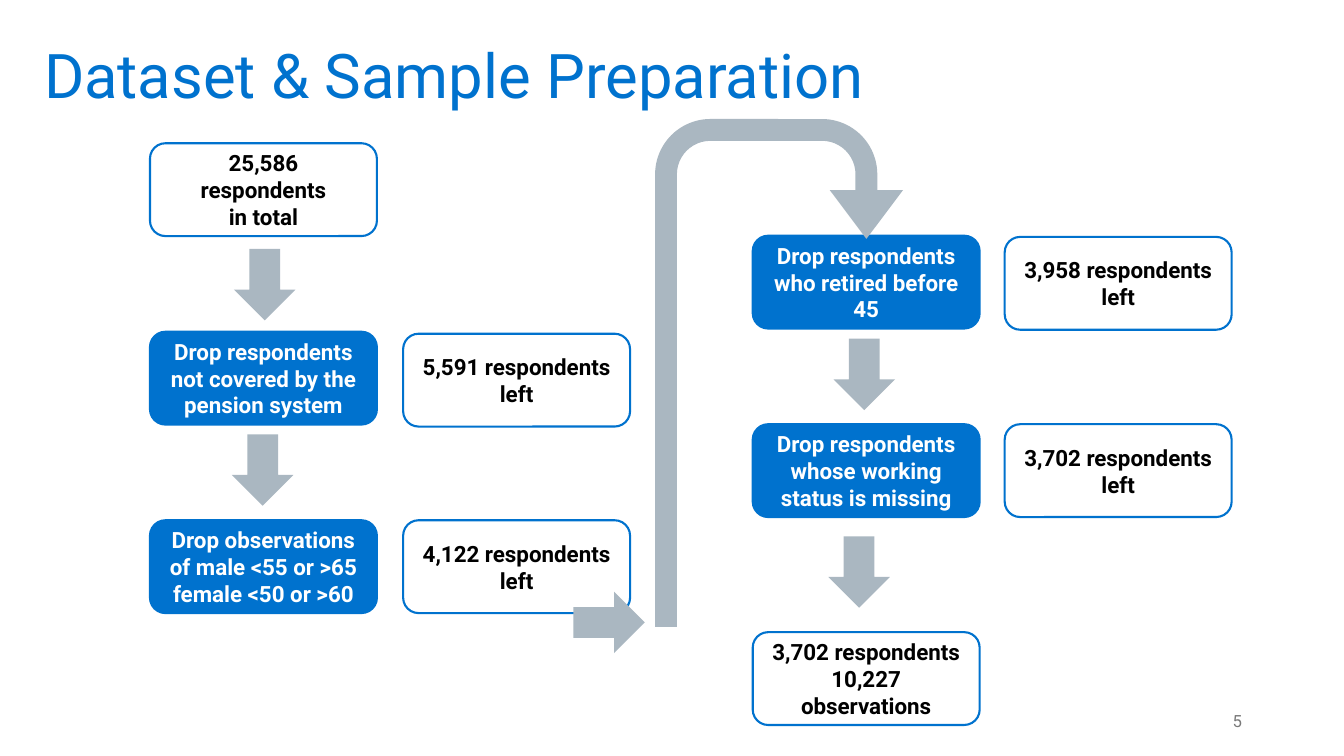
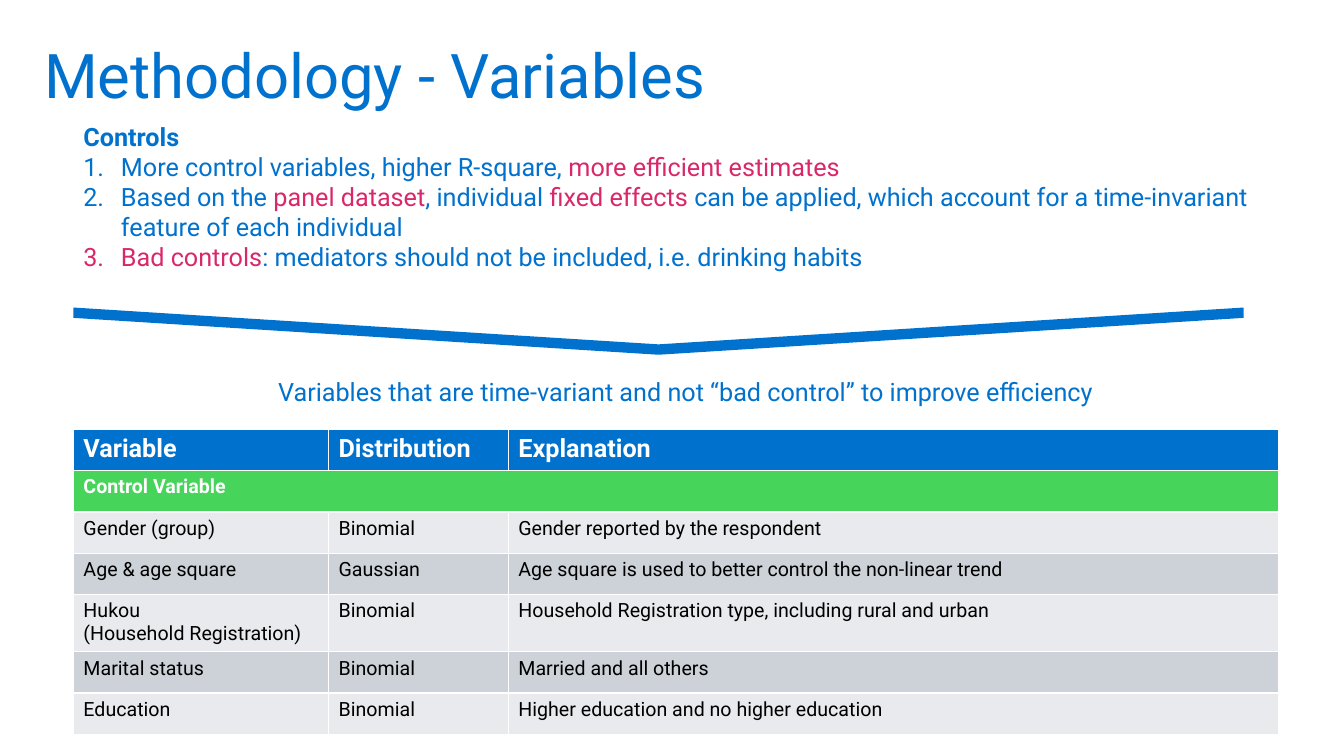
from lxml.etree import SubElement
from pptx import Presentation
from pptx.dml.color import RGBColor
from pptx.enum.shapes import MSO_SHAPE
from pptx.enum.text import MSO_ANCHOR, PP_ALIGN
from pptx.oxml.ns import qn
from pptx.util import Cm, Pt

# Shared look
HUE = {
    "blue": "0072CE", "pink": "D9286A", "green": "47D45A", "steel": "AAB7C1",
    "pale": "E8EAED", "mid": "CCD2D8", "grey": "797979",
    "white": "FFFFFF", "black": "000000",
}
FACE = "Roboto"
WIDE, HIGH = 33.87, 19.05
TITLE = (0.86, 0.15, 29.21, 3.68)
FOOT = (23.93, 17.65, 7.62, 1.02)

# Flow chart: box size, column lefts, then (column, top, kind, lines)
BOX = (5.72, 2.34)
COLS = (3.78, 10.16, 18.97, 25.32)
STEPS = [
    (0, 3.61, "count", ["25,586 respondents", "in total"]),
    (0, 8.36, "drop", ["Drop respondents not covered by the pension system"]),
    (1, 8.41, "count", ["5,591 respondents left"]),
    (0, 13.11, "drop", ["Drop observations of male <55 or >65", "female <50 or >60"]),
    (1, 13.11, "count", ["4,122 respondents left"]),
    (2, 5.94, "drop", ["Drop respondents who retired before 45"]),
    (3, 5.97, "count", ["3,958 respondents left"]),
    (2, 10.69, "drop", ["Drop respondents whose working status is missing"]),
    (3, 10.69, "count", ["3,702 respondents left"]),
    (2, 15.93, "count", ["3,702 respondents 10,227 observations"]),
]
KINDS = {"drop": ("blue", "white"), "count": ("white", "black")}
ARROW = (1.8, 1.55)
ARROWS = [  # left, top, turn
    (5.77, 6.4, 90), (5.72, 11.07, 90), (20.88, 8.66, 90),
    (20.75, 13.64, 90), (14.45, 14.91, 0),
]
UTURN = (16.51, 3.0, 6.25, 12.8)
BEND = (0.088, 0.148, 0.197, 0.223, 0.236)

# Controls: runs are (text, colour)
POINTS = [
    [("More control variables, higher R-square, ", "blue"),
     ("more efficient estimates", "pink")],
    [("Based on the ", "blue"), ("panel dataset", "pink"),
     (", individual ", "blue"), ("fixed effects ", "pink"),
     ("can be applied, which account for a time-invariant feature "
      "of each individual", "blue")],
    [("Bad controls", "pink"),
     (": mediators should not be included, i.e. drinking habits", "blue")],
]
CLAIM = "Variables that are time-variant and not “bad control” to improve efficiency"

# Variable table
HEAD = ("Variable", "Distribution", "Explanation")
GROUP = "Control Variable"
ROWS = [
    ("Gender (group)", "Binomial", "Gender reported by the respondent"),
    ("Age & age square", "Gaussian",
     "Age square is used to better control the non-linear trend"),
    ("Hukou\n(Household Registration)", "Binomial",
     "Household Registration type, including rural and urban"),
    ("Marital status", "Binomial", "Married and all others"),
    ("Education", "Binomial", "Higher education and no higher education"),
]
SPANS = (6.43, 4.53, 19.42)
ROW, TALL = 1.04, 1.42


def rgb(name):
    return RGBColor.from_string(HUE[name])


def write(frame, paras, size, hue, bold=False, align=None):
    """Fill a frame; a paragraph is a string or a list of (text, colour)."""
    for i, para in enumerate(paras):
        line = frame.paragraphs[0] if i == 0 else frame.add_paragraph()
        line.alignment = align
        runs = [(para, hue)] if isinstance(para, str) else para
        for text, tint in runs:
            run = line.add_run()
            run.text = text
            for key, val in {"name": FACE, "size": Pt(size), "bold": bold}.items():
                setattr(run.font, key, val)
            run.font.color.rgb = rgb(tint)


def label(slide, place, paras, size, hue="blue", anchor=MSO_ANCHOR.TOP, align=None):
    frame = slide.shapes.add_textbox(*map(Cm, place)).text_frame
    frame.word_wrap = True
    frame.vertical_anchor = anchor
    write(frame, paras, size, hue, align=align)
    return frame


def block(slide, form, place, fill, edge=None, turn=0, bends=()):
    shape = slide.shapes.add_shape(form, *map(Cm, place))
    shape.shadow.inherit = False
    shape.fill.solid()
    shape.fill.fore_color.rgb = rgb(fill)
    shape.rotation = turn
    for i, bend in enumerate(bends):
        shape.adjustments[i] = bend
    if edge:
        shape.line.color.rgb = rgb(edge)
        shape.line.width = Pt(1.5)
    else:
        shape.line.fill.background()
    return shape


def number(line):
    props = line._p.get_or_add_pPr()
    props.set("marL", str(Cm(0.95)))
    props.set("indent", str(Cm(-0.95)))
    SubElement(props, qn("a:buFont"), typeface="+mj-lt")
    SubElement(props, qn("a:buAutoNum"), type="arabicPeriod")


def page(deck, title):
    slide = deck.slides.add_slide(deck.slide_layouts[6])
    frame = label(slide, TITLE, [title], 44, anchor=MSO_ANCHOR.MIDDLE)
    frame.paragraphs[0].line_spacing = 0.9
    return slide


def flow(deck):
    slide = page(deck, "Dataset & Sample Preparation")
    label(slide, FOOT, ["5"], 12, "grey", MSO_ANCHOR.MIDDLE, PP_ALIGN.RIGHT)
    for col, top, kind, lines in STEPS:
        fill, ink = KINDS[kind]
        box = block(slide, MSO_SHAPE.ROUNDED_RECTANGLE,
                    (COLS[col], top, *BOX), fill, "blue")
        box.text_frame.vertical_anchor = MSO_ANCHOR.MIDDLE
        write(box.text_frame, lines, 16, ink, True, PP_ALIGN.CENTER)
    block(slide, MSO_SHAPE.U_TURN_ARROW, UTURN, "steel", bends=BEND)
    for left, top, turn in ARROWS:
        block(slide, MSO_SHAPE.RIGHT_ARROW, (left, top, *ARROW), "steel", turn=turn)


def grid(slide):
    cells = [HEAD, (GROUP,), *ROWS]
    place = map(Cm, (1.85, 10.82, sum(SPANS), ROW * len(cells)))
    table = slide.shapes.add_table(len(cells), len(HEAD), *place).table
    for col, span in zip(table.columns, SPANS):
        col.width = Cm(span)
    table.cell(1, 0).merge(table.cell(1, len(HEAD) - 1))
    for r, texts in enumerate(cells):
        table.rows[r].height = Cm(TALL if "\n" in texts[0] else ROW)
        top = r < 2
        fill = ("blue", "green")[r] if top else ("pale", "mid")[r % 2]
        for c in range(len(HEAD)):
            cell = table.cell(r, c)
            cell.fill.solid()
            cell.fill.fore_color.rgb = rgb(fill)
            if c < len(texts):
                write(cell.text_frame, texts[c].split("\n"), 18 if r == 0 else 14,
                      "white" if top else "black", top)


def method(deck):
    slide = page(deck, "Methodology - Variables")
    grid(slide)
    # Heading and numbered points share one box
    frame = label(slide, (1.85, 2.92, 30.53, 4.11), ["Controls", *POINTS], 18)
    frame.paragraphs[0].runs[0].font.bold = True
    for line in frame.paragraphs[1:]:
        number(line)
    # Wide bracket pointing down to the claim
    block(slide, MSO_SHAPE.CHEVRON, (16.0, -6.4, 1.19, 29.49), "blue",
          turn=90, bends=(0.78,))
    label(slide, (6.76, 9.37, 26.5, 1.02), [CLAIM], 18)


def main():
    deck = Presentation()
    deck.slide_width, deck.slide_height = Cm(WIDE), Cm(HIGH)
    flow(deck)
    method(deck)
    deck.save("out.pptx")


if __name__ == "__main__":
    main()
